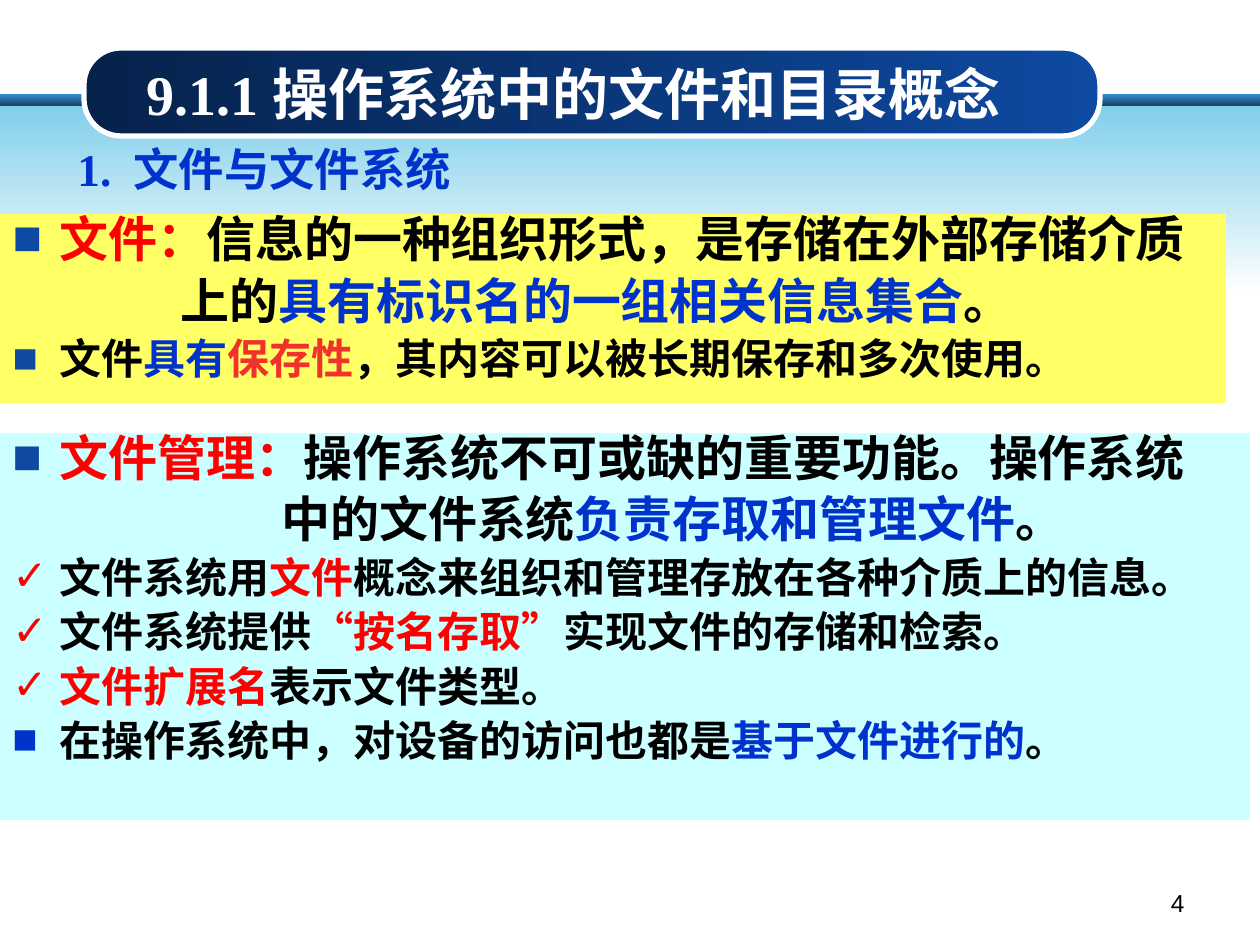
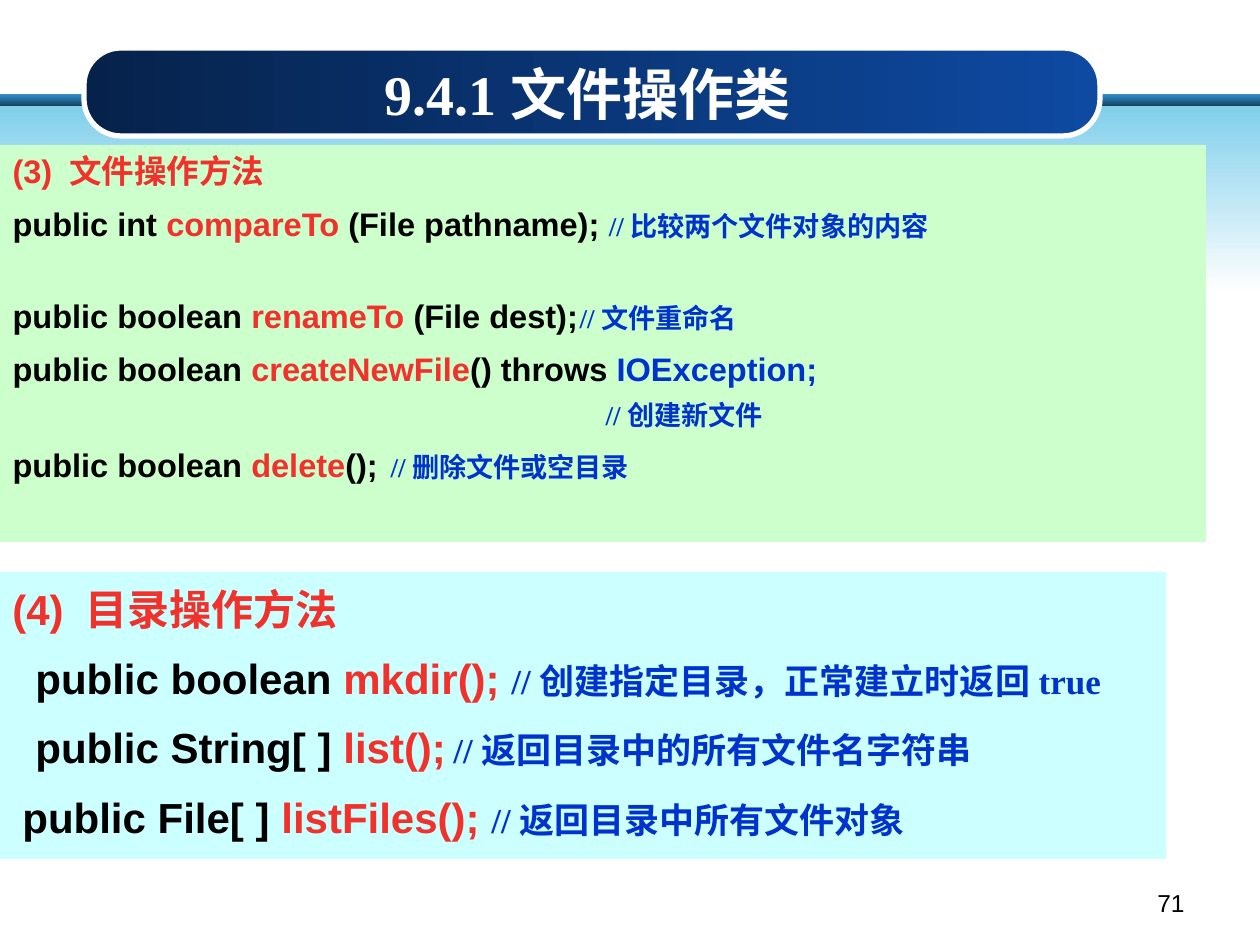
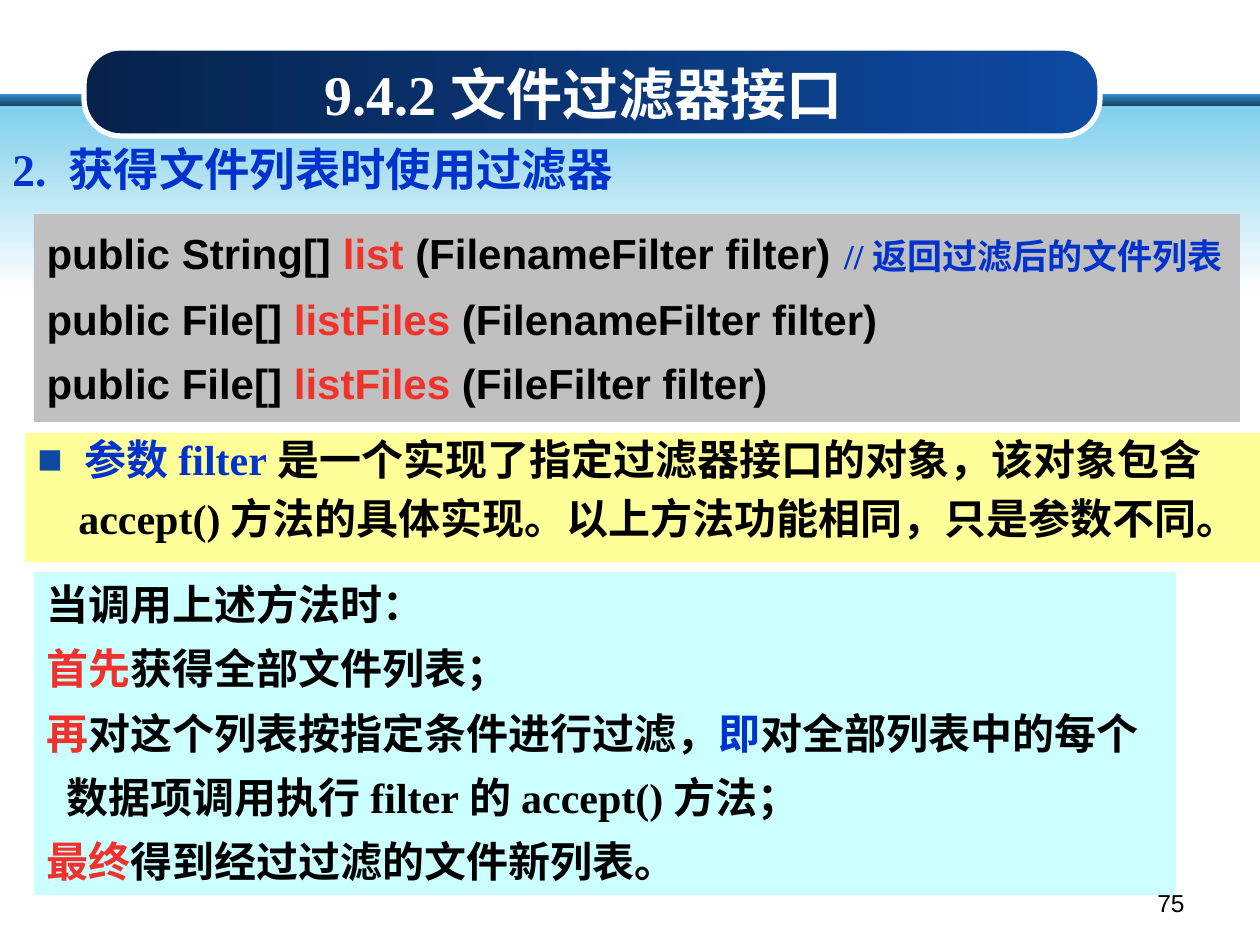
"""Build three lesson slides on files, directories and file filters."""
from dataclasses import dataclass

import lxml.etree
import pptx
import pptx.dml.color
import pptx.enum.shapes
import pptx.enum.text
import pptx.oxml.ns
import pptx.util

EMU_PER_PX = 914400 / 126
SLIDE_WIDTH, SLIDE_HEIGHT = 1260, 945
BLACK, WHITE = "000000", "FFFFFF"
BLUE, NAVY, RED, CORAL = "0033CC", "0E4AA2", "FF0000", "F0312C"
CYAN, YELLOW, PALE_YELLOW = "CCFFFF", "FFFF66", "FFFF99"
GREEN, GRAY = "CCFFCC", "C0C0C0"
SERIF, SANS, CHINESE = "Times New Roman", "Arial", "Noto Sans CJK SC"
SQUARE, CHECK = "■", "✓"
HANGING = 47
TITLE_RIGHT = 1100
RECTANGLE = pptx.enum.shapes.MSO_SHAPE.RECTANGLE
ROUNDED = pptx.enum.shapes.MSO_SHAPE.ROUNDED_RECTANGLE
LEFT, RIGHT = pptx.enum.text.PP_ALIGN.LEFT, pptx.enum.text.PP_ALIGN.RIGHT
TOP, BOTTOM = pptx.enum.text.MSO_ANCHOR.TOP, pptx.enum.text.MSO_ANCHOR.BOTTOM


@dataclass
class Run:
    text: str
    color: str = BLACK
    size: float | None = None
    font: str | None = None


@dataclass
class Line:
    runs: list[Run]
    size: float = 24
    font: str = SERIF
    spacing: float = 1
    before: float = 8
    start: int = 0
    bullet: str = ""
    bullet_color: str = NAVY
    tab: int = 0
    bold: bool = True
    align: int = LEFT


@dataclass
class Box:
    left: int
    top: int
    width: int
    height: int
    lines: list[Line]
    fill: str = ""
    anchor: int = TOP


@dataclass
class Lesson:
    number: str
    title: str
    title_left: int
    title_tab: int
    body: Box
    boxes: list[Box]
    page: str


@dataclass
class Backdrop:
    kind: int
    left: int
    top: int
    width: int
    height: int
    colors: tuple[str, str]
    angle: int


BACKDROPS = [
    Backdrop(RECTANGLE, 0, 94, SLIDE_WIDTH, 12, ("3191D3", "174362"), 270),
    Backdrop(RECTANGLE, 0, 106, SLIDE_WIDTH, 187, ("81CFEB", WHITE), 270),
    Backdrop(ROUNDED, 84, 48, 1016, 88, ("06224B", NAVY), 0),
]


def px(length: int) -> int:
    return round(length * EMU_PER_PX)


def rgb(color: str) -> pptx.dml.color.RGBColor:
    return pptx.dml.color.RGBColor.from_string(color)


def add_element(parent, tag: str, **attributes: str):
    return lxml.etree.SubElement(parent, pptx.oxml.ns.qn(tag), attributes)


def comment(text: str, size: float) -> Run:
    return Run("//" + text, BLUE, size, SERIF)


def bullet_line(*runs: Run, size: float = 24, spacing: float = 0.8,
                bullet: str = SQUARE, bullet_color: str = NAVY) -> Line:
    return Line(list(runs), size, spacing=spacing, bullet=bullet, bullet_color=bullet_color)


def check_line(*runs: Run) -> Line:
    return bullet_line(*runs, bullet=CHECK, bullet_color=RED)


def heading(left: int, width: int, text: str) -> Box:
    return Box(left, 145, width, 59, [Line([Run(text, BLUE)], 25.9, spacing=0.8)])


def code_line(prefix: str, name: str, *rest: Run, size: float = 24, spacing: float = 1,
              before: float = 8, start: int = 0, tab: int = 0) -> Line:
    return Line([Run(prefix), Run(name, CORAL), *rest], size, SANS, spacing, before, start, tab=tab)


def write_line(paragraph, line: Line) -> None:
    paragraph.alignment = line.align
    paragraph.line_spacing = line.spacing
    paragraph.space_before = pptx.util.Pt(line.before)
    properties = paragraph._p.get_or_add_pPr()
    properties.set("marL", str(px(HANGING if line.bullet else 0)))
    properties.set("indent", str(px(-HANGING if line.bullet else line.start)))
    if line.bullet:
        bullet_color = add_element(properties, "a:buClr")
        add_element(bullet_color, "a:srgbClr", val=line.bullet_color)
        add_element(properties, "a:buFont", typeface=SANS)
        add_element(properties, "a:buChar", char=line.bullet)
    else:
        add_element(properties, "a:buNone")
    if line.tab:
        tabs = add_element(properties, "a:tabLst")
        add_element(tabs, "a:tab", pos=str(px(line.tab)), algn="l")
    for item in line.runs:
        run = paragraph.add_run()
        run.text = item.text
        run.font.size = pptx.util.Pt(item.size or line.size)
        run.font.bold = line.bold
        run.font.color.rgb = rgb(item.color)
        run.font.name = item.font or line.font
        add_element(run._r.get_or_add_rPr(), "a:ea", typeface=CHINESE)


def fill_box(shape, box: Box) -> None:
    shape.left, shape.top = px(box.left), px(box.top)
    shape.width, shape.height = px(box.width), px(box.height)
    if box.fill:
        shape.fill.solid()
        shape.fill.fore_color.rgb = rgb(box.fill)
        shape.line.fill.background()
    text_frame = shape.text_frame
    text_frame.word_wrap = True
    text_frame.auto_size = pptx.enum.text.MSO_AUTO_SIZE.NONE
    text_frame.vertical_anchor = box.anchor
    for index, line in enumerate(box.lines):
        paragraph = text_frame.add_paragraph() if index else text_frame.paragraphs[0]
        write_line(paragraph, line)


def add_box(slide, box: Box) -> None:
    frame = px(box.left), px(box.top), px(box.width), px(box.height)
    if box.fill:
        shape = slide.shapes.add_shape(RECTANGLE, *frame)
        shape.shadow.inherit = False
    else:
        shape = slide.shapes.add_textbox(*frame)
    fill_box(shape, box)


def move_backdrops_to_layout(slide) -> None:
    layout_tree = slide.slide_layout.shapes._spTree
    for index, backdrop in enumerate(BACKDROPS):
        shape = slide.shapes.add_shape(backdrop.kind, px(backdrop.left), px(backdrop.top),
                                       px(backdrop.width), px(backdrop.height))
        shape.shadow.inherit = False
        shape.fill.gradient()
        shape.fill.gradient_angle = backdrop.angle
        for position, (stop, color) in enumerate(zip(shape.fill.gradient_stops, backdrop.colors)):
            stop.position = position
            stop.color.rgb = rgb(color)
        if backdrop.kind == ROUNDED:
            shape.adjustments[0] = 0.42
            shape.line.color.rgb = rgb(WHITE)
            shape.line.width = pptx.util.Pt(3)
        else:
            shape.line.fill.background()
        layout_tree.insert(2 + index, shape._element)


def add_lesson(slide, lesson: Lesson) -> None:
    title_line = Line([Run(f"{lesson.number}\t{lesson.title}", WHITE)], 32,
                      before=0, tab=lesson.title_tab)
    fill_box(slide.shapes.title, Box(lesson.title_left, 45, TITLE_RIGHT - lesson.title_left, 88,
                                     [title_line], anchor=BOTTOM))
    fill_box(slide.placeholders[1], lesson.body)
    for box in lesson.boxes:
        add_box(slide, box)
    page_line = Line([Run(lesson.page)], 14, SANS, before=0, bold=False, align=RIGHT)
    add_box(slide, Box(903, 882, 294, 44, [page_line]))


LESSONS = [
    Lesson(
        "9.1.1", "操作系统中的文件和目录概念", 134, 168,
        Box(0, 214, 1226, 189, [
            bullet_line(Run("文件：", RED), Run("信息的一种组织形式，是存储在外部存储介质"), size=28),
            Line([Run("上的"), Run("具有标识名的一组相关信息集合", BLUE), Run("。")],
                 28, spacing=0.8, start=168),
            bullet_line(Run("文件"), Run("具有", BLUE), Run("保存性", CORAL),
                        Run("，其内容可以被长期保存和多次使用。")),
        ], YELLOW),
        [
            heading(65, 437, "1. 文件与文件系统"),
            Box(0, 433, 1250, 387, [
                bullet_line(Run("文件管理：", RED),
                            Run("操作系统不可或缺的重要功能。操作系统"), size=28),
                Line([Run("中的文件系统"), Run("负责存取和管理文件", BLUE), Run("。")],
                     28, spacing=0.8, start=269),
                check_line(Run("文件系统用"), Run("文件", RED),
                           Run("概念来组织和管理存放在各种介质上的信息。")),
                check_line(Run("文件系统提供"), Run("“按名存取”", RED),
                           Run("实现文件的存储和检索。")),
                check_line(Run("文件扩展名", RED), Run("表示文件类型。")),
                bullet_line(Run("在操作系统中，对设备的访问也都是"), Run("基于文件进行的", BLUE),
                            Run("。"), bullet_color=BLUE),
            ], CYAN),
        ], "4"),
    Lesson(
        "9.4.1", "文件操作类", 372, 168,
        Box(0, 145, 1206, 397, [
            Line([Run("(3) 文件操作方法", CORAL)], 18.6, SANS),
            code_line("public int ", "compareTo ", Run("(File pathname); "),
                      comment("比较两个文件对象的内容", 15.5), size=18.6),
            code_line("public boolean ", "renameTo ", Run("(File dest);\t"),
                      comment("文件重命名", 15.5), size=18.6, before=30, tab=597),
            code_line("public boolean ", "createNewFile", Run("() throws "),
                      Run("IOException;", BLUE), size=18.6),
            Line([comment("创建新文件", 15.5)], 18.6, spacing=0.9, start=593),
            code_line("public boolean ", "delete", Run("();\t"),
                      comment("删除文件或空目录", 15.5), size=18.6, tab=593),
        ], GREEN),
        [
            Box(0, 572, 1166, 287, [
                Line([Run("(4) 目录操作方法", CORAL)], 24, SANS, 1.1),
                code_line("public boolean ", "mkdir(); ",
                          comment("创建指定目录，正常建立时返回true", 20), spacing=1.1, start=23),
                code_line("public String[ ] ", "list();\t",
                          comment("返回目录中的所有文件名字符串", 20),
                          spacing=1.1, start=23, tab=462),
                code_line("public File[ ] ", "listFiles(); ",
                          comment("返回目录中所有文件对象", 20), spacing=1.1, start=10),
            ], CYAN),
        ], "71"),
    Lesson(
        "9.4.2", "文件过滤器接口", 312, 182,
        Box(34, 214, 1206, 208, [
            code_line("public String[] ", "list ", Run("(FilenameFilter filter)"),
                      Run(" ", CORAL, 28), comment("返回过滤后的文件列表", 20)),
            code_line("public File[] ", "listFiles ", Run("(FilenameFilter filter)")),
            code_line("public File[] ", "listFiles ", Run("(FileFilter filter)")),
        ], GRAY),
        [
            heading(0, 694, "2. 获得文件列表时使用过滤器"),
            Box(25, 433, 1235, 129, [
                bullet_line(Run("参数filter", BLUE),
                            Run("是一个实现了指定过滤器接口的对象，该对象包含"), spacing=0.9),
                Line([Run("accept()方法的具体实现。以上方法功能相同，只是参数不同。")],
                     spacing=0.9, start=41),
            ], PALE_YELLOW),
            Box(34, 572, 1142, 323, [
                Line([Run("当调用上述方法时：")]),
                Line([Run("首先", CORAL), Run("获得全部文件列表；")]),
                Line([Run("再", CORAL), Run("对这个列表按指定条件进行过滤，"),
                      Run("即", BLUE), Run("对全部列表中的每个")]),
                Line([Run("数据项调用执行filter的accept()方法；")], start=20),
                Line([Run("最终", CORAL), Run("得到经过过滤的文件新列表。")]),
            ], CYAN),
        ], "75"),
]


def main() -> None:
    presentation = pptx.Presentation()
    presentation.slide_width, presentation.slide_height = px(SLIDE_WIDTH), px(SLIDE_HEIGHT)
    layout = presentation.slide_layouts[1]
    for index, lesson in enumerate(LESSONS):
        slide = presentation.slides.add_slide(layout)
        if index == 0:
            move_backdrops_to_layout(slide)
        add_lesson(slide, lesson)
    presentation.save("out.pptx")


if __name__ == "__main__":
    main()
